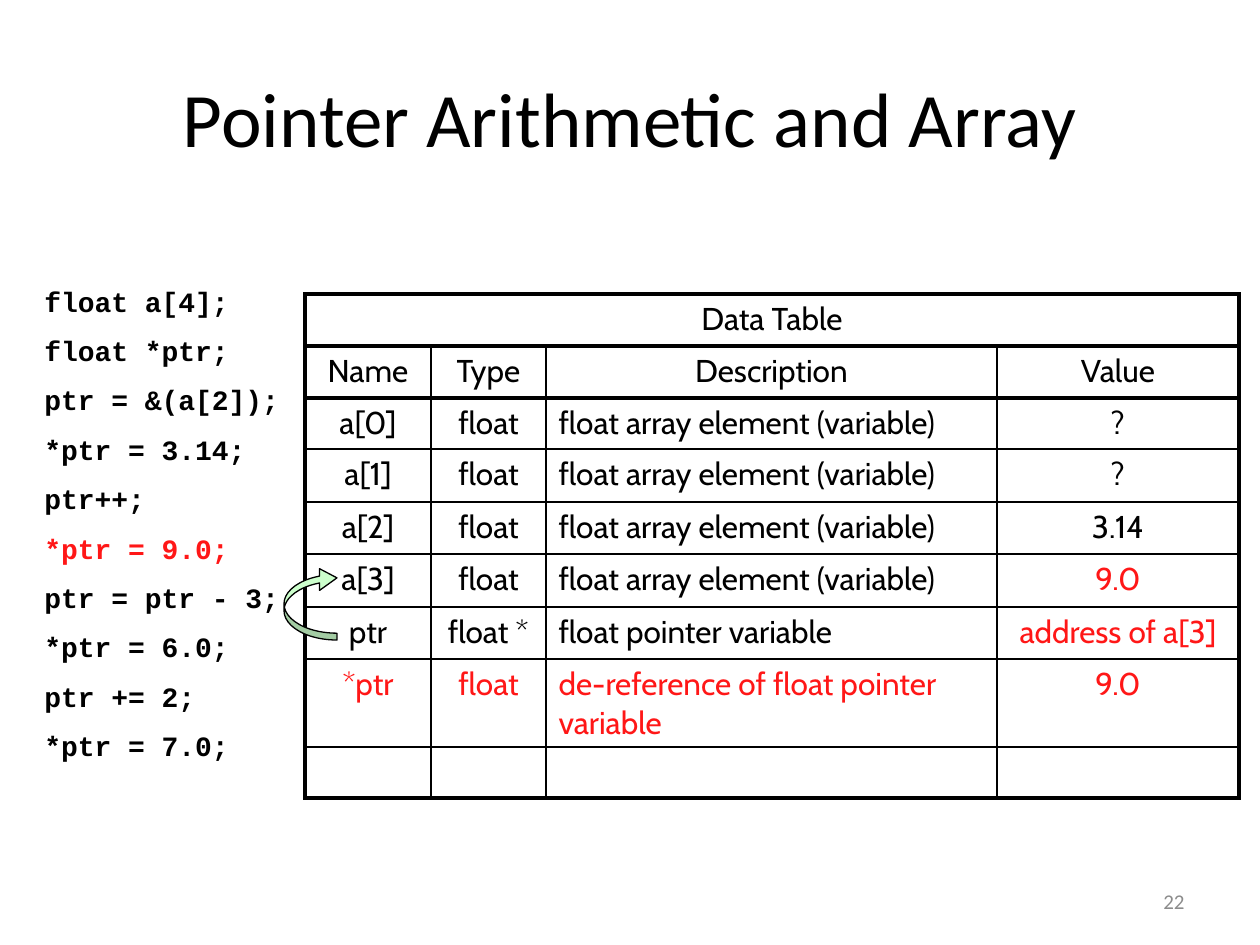
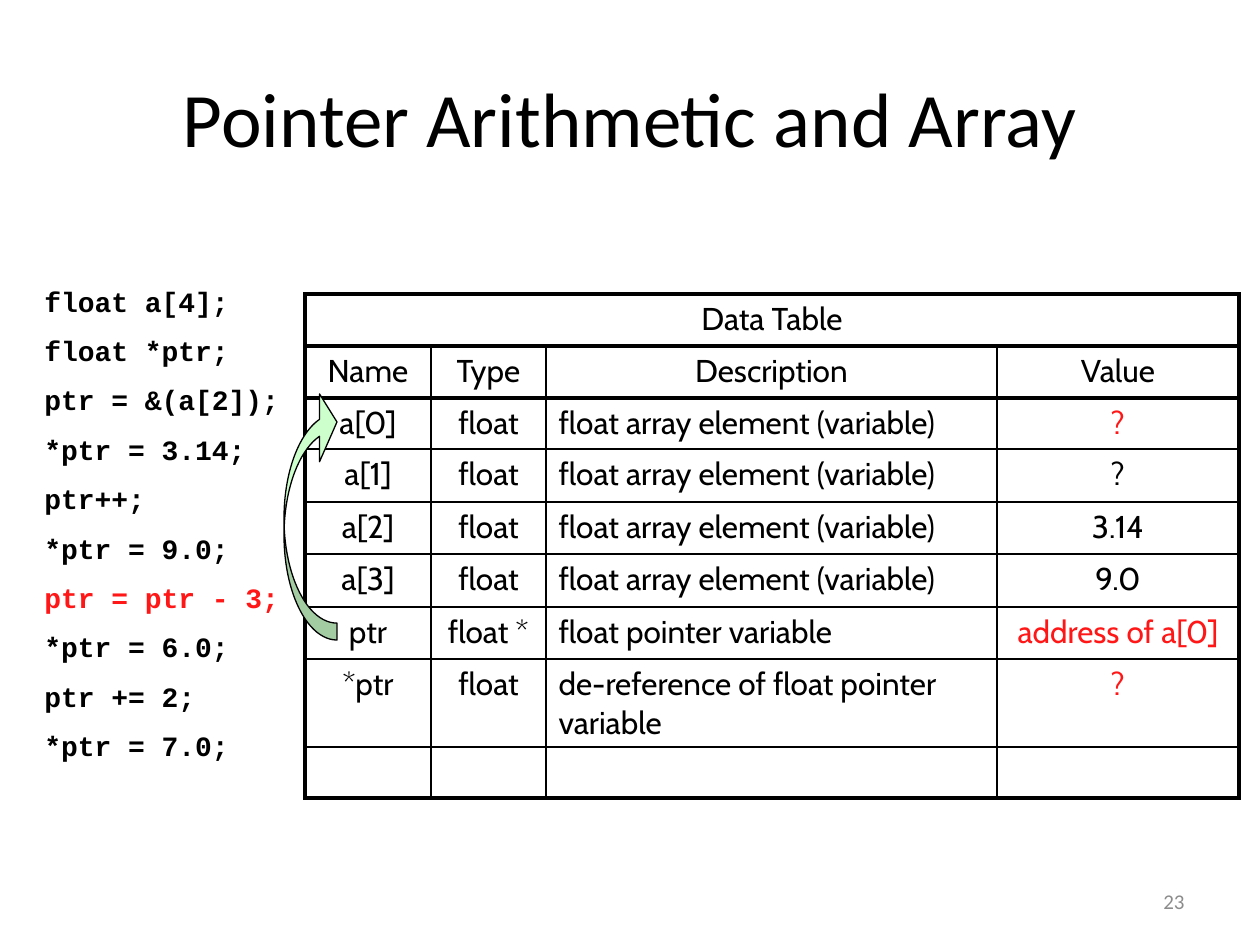
from lxml import etree
from pptx import Presentation
from pptx.dml.color import RGBColor
from pptx.enum.shapes import MSO_SHAPE
from pptx.enum.text import MSO_ANCHOR, PP_ALIGN
from pptx.oxml.ns import qn
from pptx.util import Emu, Pt

BLACK = RGBColor(0x00, 0x00, 0x00)
RED = RGBColor(0xFF, 0x17, 0x17)
GRAY = RGBColor(0x8C, 0x8C, 0x8C)
MINT = RGBColor(0xCC, 0xFF, 0xCC)

LEFT, CENTER, RIGHT = PP_ALIGN.LEFT, PP_ALIGN.CENTER, PP_ALIGN.RIGHT
MIDDLE = MSO_ANCHOR.MIDDLE
CURVED_ARROW = MSO_SHAPE.CURVED_LEFT_ARROW

PX_PER_INCH = 126
TITLE_ONLY = 5
THIN, THICK = Pt(1), Pt(2.25)

TITLE_BOX = (63, 38, 1134, 158)
NUMBER_BOX = (903, 876, 294, 50)
CODE_BOX = (32, 278, 1176, 490)
TABLE_BOX = (305, 294, 934, 504)
COL_WIDTHS = (126, 115, 451, 242)
ROW_HEIGHTS = (52, 52, 51, 53, 52, 53, 52, 88, 51)
DESCRIPTION_COL, VALUE_COL = 2, 3
FIRST_DATA_ROW, A3_ROW, PTR_ROW, DEREF_ROW = 2, 5, 6, 7
THICK_RULES = (0, 1, 2, len(ROW_HEIGHTS))

CODE_LINES = (
    "float a[4];",
    "float *ptr;",
    "ptr = &(a[2]);",
    "*ptr = 3.14;",
    "ptr++;",
    "*ptr = 9.0;",
    "ptr = ptr - 3;",
    "*ptr = 6.0;",
    "ptr += 2;",
    "*ptr = 7.0;",
)


def px(n):
    """Turn pixels into EMU."""
    return Emu(round(n * 914400 / PX_PER_INCH))


def box(left, top, width, height):
    """Turn a pixel box into EMU lengths."""
    return px(left), px(top), px(width), px(height)


def style(p, font, size, color=BLACK, align=LEFT, bold=False):
    """Format a paragraph and its runs."""
    p.alignment = align
    for r in p.runs:
        r.font.name, r.font.size, r.font.bold = font, Pt(size), bold
        r.font.color.rgb = color


def add_title(s, text):
    """Fill and place the title placeholder."""
    sp = s.shapes.title
    sp.left, sp.top, sp.width, sp.height = box(*TITLE_BOX)
    tf = sp.text_frame
    tf.text = text
    tf.vertical_anchor = MIDDLE
    style(tf.paragraphs[0], "Calibri", 44, align=CENTER)


def add_number(s, number):
    """Put the slide number in the footer."""
    tf = s.shapes.add_textbox(*box(*NUMBER_BOX)).text_frame
    tf.word_wrap = True
    tf.vertical_anchor = MIDDLE
    tf.text = str(number)
    style(tf.paragraphs[0], "Calibri", 12, GRAY, RIGHT)


def add_code(s, current_line):
    """List the program with the current line in red."""
    tf = s.shapes.add_textbox(*box(*CODE_BOX)).text_frame
    tf.word_wrap = True
    tf.text = "\n".join(CODE_LINES)
    for i, p in enumerate(tf.paragraphs):
        if i:
            p.space_before = Pt(9.05)
        color = RED if CODE_LINES[i] == current_line else BLACK
        style(p, "Courier New", 16, color, bold=True)


def add_borders(cell, row, col):
    """Draw thick rules around the table and its headings, thin ones elsewhere."""
    thick = {
        "L": row == 0 or col == 0,
        "R": row == 0 or col == len(COL_WIDTHS) - 1,
        "T": row in THICK_RULES,
        "B": row + 1 in THICK_RULES,
    }
    tc_pr = cell._tc.get_or_add_tcPr()
    for side, is_thick in thick.items():
        width = THICK if is_thick else THIN
        ln = etree.SubElement(tc_pr, qn(f"a:ln{side}"), w=str(width))
        fill = etree.SubElement(ln, qn("a:solidFill"))
        etree.SubElement(fill, qn("a:srgbClr"), val=str(BLACK))


def table_rows(values):
    """Join the variable names, types and descriptions with their values."""
    element = "float array element (variable)"
    variables = [(f"a[{i}]", "float", element) for i in range(4)]
    variables += [
        ("ptr", "float *", "float pointer variable"),
        ("*ptr", "float", "de-reference of float pointer variable"),
    ]
    rows = [("Data Table", "", "", ""), ("Name", "Type", "Description", "Value")]
    rows += [(*variable, value) for variable, value in zip(variables, values)]
    return rows + [("",) * len(COL_WIDTHS)]


def add_data_table(s, values, red_cells):
    """Show the memory state, with changed cells in red."""
    table = s.shapes.add_table(len(ROW_HEIGHTS), len(COL_WIDTHS), *box(*TABLE_BOX)).table
    table.first_row = table.horz_banding = False
    for column, width in zip(table.columns, COL_WIDTHS):
        column.width = px(width)
    for row, height in zip(table.rows, ROW_HEIGHTS):
        row.height = px(height)
    table.cell(0, 0).merge(table.cell(0, len(COL_WIDTHS) - 1))
    for i, texts in enumerate(table_rows(values)):
        for j, text in enumerate(texts):
            cell = table.cell(i, j)
            add_borders(cell, i, j)
            cell.fill.background()
            if text:
                cell.text_frame.text = text
                is_description = j == DESCRIPTION_COL and i >= FIRST_DATA_ROW
                align = LEFT if is_description else CENTER
                color = RED if (i, j) in red_cells else BLACK
                style(cell.text_frame.paragraphs[0], "Cabin", 18, color, align)


def add_pointer_arrow(s, arrow_box, adjustments):
    """Lead from ptr to the element it points at."""
    sp = s.shapes.add_shape(CURVED_ARROW, *box(*arrow_box))
    sp.rotation = 180
    sp.shadow.inherit = False
    sp.fill.solid()
    sp.fill.fore_color.rgb = MINT
    sp.line.color.rgb = BLACK
    sp.line.width = Pt(0.75)
    for i, value in enumerate(adjustments):
        sp.adjustments[i] = value


def add_step(prs, number, current_line, values, red_cells, arrow_box, adjustments):
    """Build one step of the program trace."""
    s = prs.slides.add_slide(prs.slide_layouts[TITLE_ONLY])
    add_title(s, "Pointer Arithmetic and Array")
    add_number(s, number)
    add_code(s, current_line)
    add_data_table(s, values, red_cells)
    add_pointer_arrow(s, arrow_box, adjustments)


def main():
    """Build and save both steps."""
    prs = Presentation()
    prs.slide_width, prs.slide_height = px(1260), px(945)
    deref_cells = {(DEREF_ROW, j) for j in range(len(COL_WIDTHS))}
    add_step(
        prs, 22, "*ptr = 9.0;",
        ("?", "?", "3.14", "9.0", "address of a[3]", "9.0"),
        deref_cells | {(A3_ROW, VALUE_COL), (PTR_ROW, VALUE_COL)},
        (284, 567, 53, 73), (0.13, 0.41, 0.33),
    )
    add_step(
        prs, 23, "ptr = ptr - 3;",
        ("?", "?", "3.14", "9.0", "address of a[0]", "?"),
        {(i, VALUE_COL) for i in (FIRST_DATA_ROW, PTR_ROW, DEREF_ROW)},
        (284, 388, 53, 252), (0.32, 1.28, 0.33),
    )
    prs.save("out.pptx")


if __name__ == "__main__":
    main()
